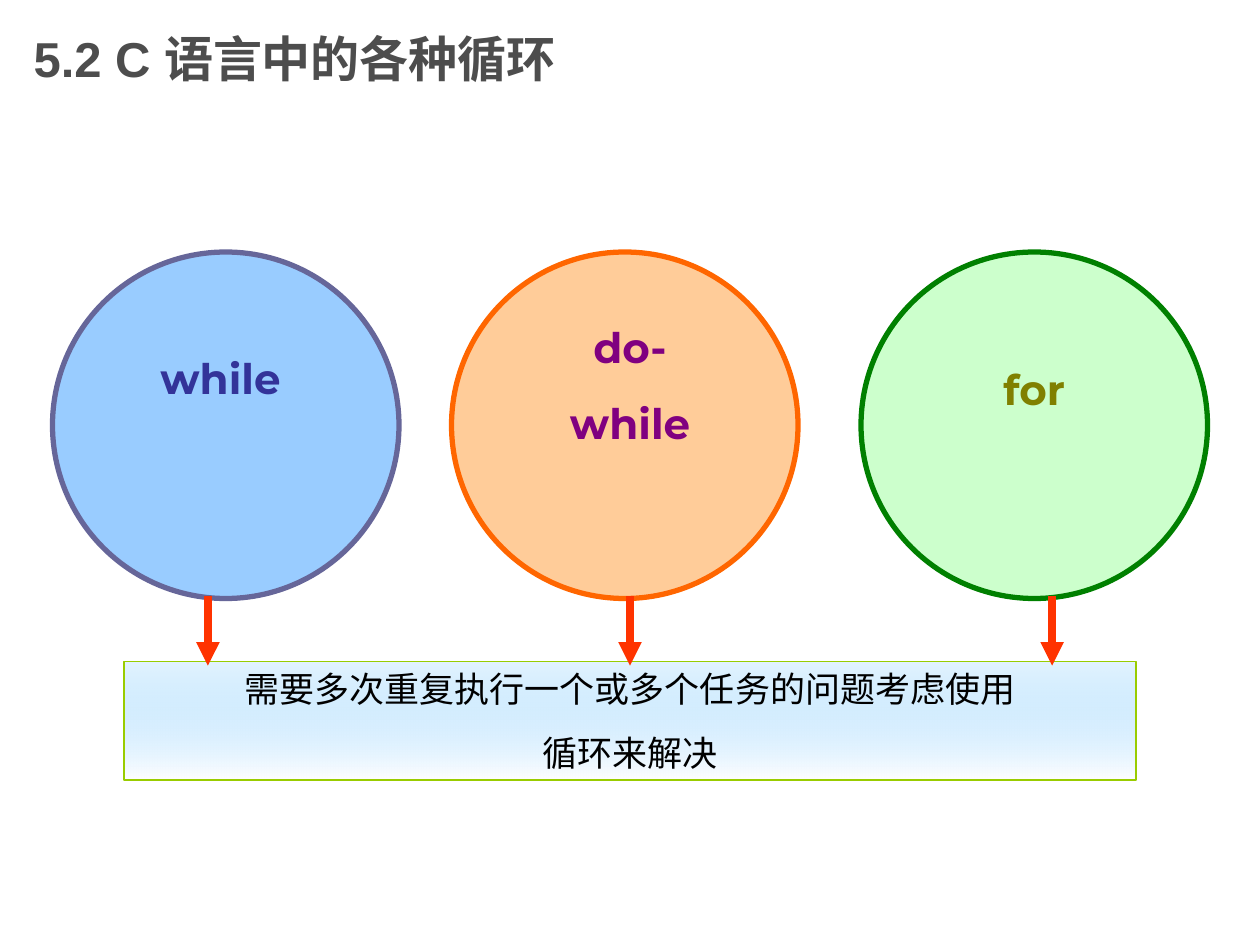
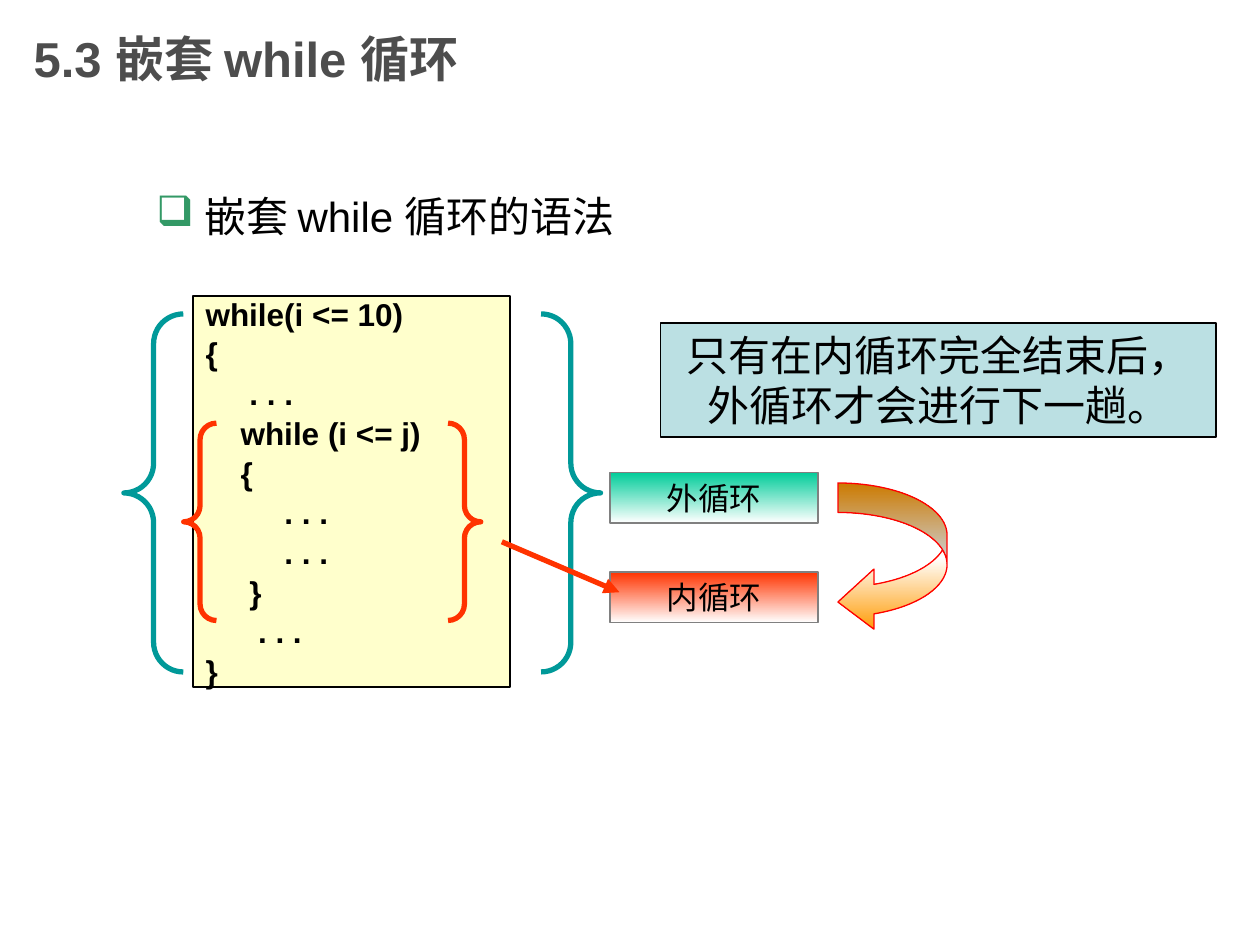
from lxml import etree
from pptx import Presentation
from pptx.dml.color import RGBColor
from pptx.enum.shapes import MSO_CONNECTOR, MSO_SHAPE
from pptx.enum.text import MSO_ANCHOR, MSO_AUTO_SIZE, PP_ALIGN
from pptx.oxml.ns import qn
from pptx.util import Inches, Pt

STRAIGHT = MSO_CONNECTOR.STRAIGHT
OVAL, RECTANGLE = MSO_SHAPE.OVAL, MSO_SHAPE.RECTANGLE
BRACES, CURVED_ARROW = MSO_SHAPE.DOUBLE_BRACE, MSO_SHAPE.CURVED_LEFT_ARROW
TOP, MIDDLE = MSO_ANCHOR.TOP, MSO_ANCHOR.MIDDLE
LEFT, CENTER = PP_ALIGN.LEFT, PP_ALIGN.CENTER
NO_FIT = MSO_AUTO_SIZE.NONE

SLIDE_WIDTH, SLIDE_HEIGHT = Inches(10), Inches(7.5)
COLUMNS = 120
CELL = SLIDE_WIDTH / COLUMNS
BODY_FONT, LABEL_FONT = "Arial", "Montserrat"

BLACK = RGBColor(0x00, 0x00, 0x00)
WHITE = RGBColor(0xFF, 0xFF, 0xFF)
TITLE_GRAY = RGBColor(0x4D, 0x4D, 0x4D)
BORDER_GRAY = RGBColor(0x80, 0x80, 0x80)
RED_ORANGE = RGBColor(0xFF, 0x33, 0x00)
RED = RGBColor(0xFF, 0x00, 0x00)
AMBER = RGBColor(0xFF, 0x99, 0x00)
LIGHT_BLUE = RGBColor(0x99, 0xCC, 0xFF)
SLATE = RGBColor(0x66, 0x66, 0x99)
INDIGO = RGBColor(0x33, 0x33, 0x99)
PEACH = RGBColor(0xFF, 0xCC, 0x99)
ORANGE = RGBColor(0xFF, 0x66, 0x00)
PURPLE = RGBColor(0x80, 0x00, 0x80)
MINT = RGBColor(0xCC, 0xFF, 0xCC)
GREEN = RGBColor(0x00, 0x80, 0x00)
OLIVE = RGBColor(0x80, 0x80, 0x00)
SKY = RGBColor(0x76, 0xC7, 0xFE)
LIME = RGBColor(0x99, 0xCC, 0x00)
BULLET_GREEN = RGBColor(0x33, 0x99, 0x66)
CREAM = RGBColor(0xFF, 0xFF, 0xCC)
TEAL = RGBColor(0x00, 0x99, 0x99)
EMERALD = RGBColor(0x00, 0xCC, 0x99)
PALE_TEAL = RGBColor(0xBB, 0xE0, 0xE3)

LOOPS = [
    (5, LIGHT_BLUE, SLATE, ["while"], INDIGO, (9, 33, 24, 12)),
    (43, PEACH, ORANGE, ["do-", "while"], PURPLE, (49, 30, 22, 17)),
    (82, MINT, GREEN, ["for"], OLIVE, (90, 34, 17, 11)),
]
CODE = [
    (0, "while(i <= 10)"),
    (0, "{"),
    (5, ". . ."),
    (4, "while (i <= j)"),
    (4, "{"),
    (9, ". . ."),
    (9, ". . ."),
    (5, "}"),
    (6, ". . ."),
    (0, "}"),
]
CODE_INDENT = Pt(5)


def grid(*cells):
    return [round(cell * CELL) for cell in cells]


def add_page(deck, title):
    page = deck.slides.add_slide(deck.slide_layouts[5])
    box = page.shapes.title
    box.left, box.top, box.width, box.height = grid(2, 0, 90, 11)
    write(box, [title], 28, TITLE_GRAY, bold=True, align=LEFT, anchor=MIDDLE)
    return page


def write(box, lines, size, color=BLACK, font=BODY_FONT, bold=False,
          align=CENTER, anchor=TOP, before=0):
    frame = box.text_frame
    frame.text = "\n".join(lines)
    frame.word_wrap = True
    frame.auto_size = NO_FIT
    frame.vertical_anchor = anchor
    for para in frame.paragraphs:
        para.alignment = align
        para.space_before = Pt(before)
        para.font.name = font
        para.font.size = Pt(size)
        para.font.bold = bold
        para.font.color.rgb = color
    return frame.paragraphs


def add_text(page, area, lines, size, **style):
    return write(page.shapes.add_textbox(*grid(*area)), lines, size, **style)


def add_figure(page, kind, area, line, width, fill=None):
    shape = page.shapes.add_shape(kind, *grid(*area))
    shape.shadow.inherit = False
    shape.line.color.rgb = line
    shape.line.width = Pt(width)
    if fill is None:
        shape.fill.background()
    else:
        shape.fill.solid()
        shape.fill.fore_color.rgb = fill
    return shape


def shade_down(shape, colors, first_alpha=100):
    shape.fill.gradient()
    shape.fill.gradient_angle = 270
    stops = shape.fill._fill._gradFill.find(qn("a:gsLst"))
    for stop in list(stops):
        stops.remove(stop)
    for index, color in enumerate(colors):
        position = 100000 * index // (len(colors) - 1)
        stop = etree.SubElement(stops, qn("a:gs"), pos=str(position))
        tone = etree.SubElement(stop, qn("a:srgbClr"), val=str(color))
        if index == 0 and first_alpha < 100:
            etree.SubElement(tone, qn("a:alpha"), val=str(first_alpha * 1000))


def add_arrow(page, start, end, width):
    arrow = page.shapes.add_connector(STRAIGHT, *grid(*start, *end))
    arrow.line.color.rgb = RED_ORANGE
    arrow.line.width = Pt(width)
    etree.SubElement(arrow.line._get_or_add_ln(), qn("a:tailEnd"), type="triangle")
    etree.SubElement(arrow._element.spPr, qn("a:effectLst"))


def add_braces(page, area, color):
    add_figure(page, BRACES, area, color, 3).adjustments[0] = 0.083


def indent(para, margin, hanging=0):
    properties = para._p.get_or_add_pPr()
    properties.set("marL", str(margin))
    properties.set("indent", str(-hanging))
    return properties


def add_bullet(para, symbol, color):
    hanging = Inches(0.38)
    properties = indent(para, hanging, hanging)
    tint = etree.Element(qn("a:buClr"))
    etree.SubElement(tint, qn("a:srgbClr"), val=str(color))
    mark = etree.Element(qn("a:buChar"), char=symbol)
    defaults = properties.find(qn("a:defRPr"))
    defaults.addprevious(tint)
    defaults.addprevious(mark)


def build_loop_kinds(deck):
    page = add_page(deck, "5.2 C 语言中的各种循环")
    for left, fill, line, _, _, _ in LOOPS:
        add_figure(page, OVAL, (left, 24, 33, 33), line, 3, fill)
    for _, _, _, words, color, area in LOOPS:
        add_text(page, area, words, 24, color=color, font=LABEL_FONT,
                 bold=True, before=15)
    banner = add_figure(page, RECTANGLE, (11.8, 63, 96.4, 11.3), LIME, 0.75)
    shade_down(banner, [SKY, WHITE], first_alpha=20)
    write(banner, ["需要多次重复执行一个或多个任务的问题考虑使用", "循环来解决"],
          20, before=12.5)
    for offset in (-40.2, 0, 40.2):
        column = COLUMNS / 2 + offset
        add_arrow(page, (column, 56.8), (column, 63.4), 4.5)


def build_nested_while(deck):
    page = add_page(deck, "5.3 嵌套 while 循环")
    heading = add_text(page, (13.7, 17.6, 83.2, 6), ["嵌套 while 循环的语法"],
                       24, align=LEFT, before=6)
    add_bullet(heading[0], "❑", BULLET_GREEN)

    code_box = add_figure(page, RECTANGLE, (18.4, 28.2, 30.2, 37.2), BLACK, 1.25, CREAM)
    paras = write(code_box, [text for _, text in CODE], 18, bold=True,
                  align=LEFT, anchor=MIDDLE)
    for para, (spaces, _) in zip(paras, CODE):
        para.line_spacing = 1.05
        indent(para, spaces * CODE_INDENT)

    add_braces(page, (11.8, 29.9, 45.4, 34.1), TEAL)
    add_braces(page, (17.5, 40.3, 28.3, 18.8), RED_ORANGE)
    for top, label, color in ((45, "外循环", EMERALD), (54.5, "内循环", RED_ORANGE)):
        tag = add_figure(page, RECTANGLE, (58.1, top, 19.8, 4.8), BORDER_GRAY, 1)
        shade_down(tag, [color, WHITE])
        write(tag, [label], 18, before=11.2)

    turn = add_figure(page, CURVED_ARROW, (79.8, 46, 10.4, 14.2), RED, 0.75)
    for index, share in enumerate((0.27, 0.55, 0.33)):
        turn.adjustments[index] = share
    shade_down(turn, [AMBER, WHITE, AMBER])

    rule = add_figure(page, RECTANGLE, (62.9, 30.8, 52.9, 10.8), BLACK, 1, PALE_TEAL)
    write(rule, ["只有在内循环完全结束后，外循环才会进行下一趟。"], 24, before=15)
    add_arrow(page, (47.8, 51.6), (59, 56.4), 3)


def main():
    deck = Presentation()
    deck.slide_width, deck.slide_height = SLIDE_WIDTH, SLIDE_HEIGHT
    build_loop_kinds(deck)
    build_nested_while(deck)
    deck.save("out.pptx")


if __name__ == "__main__":
    main()
